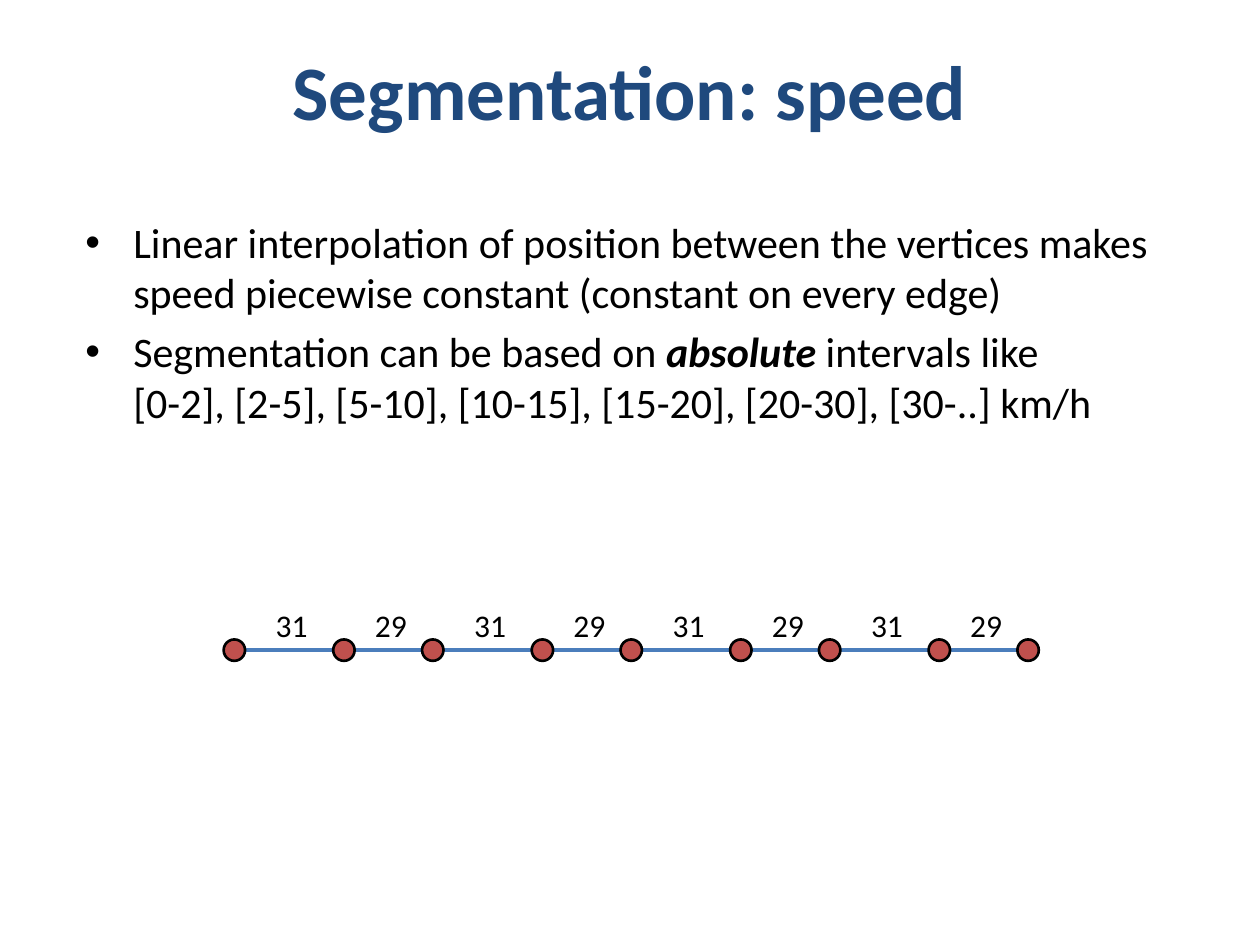
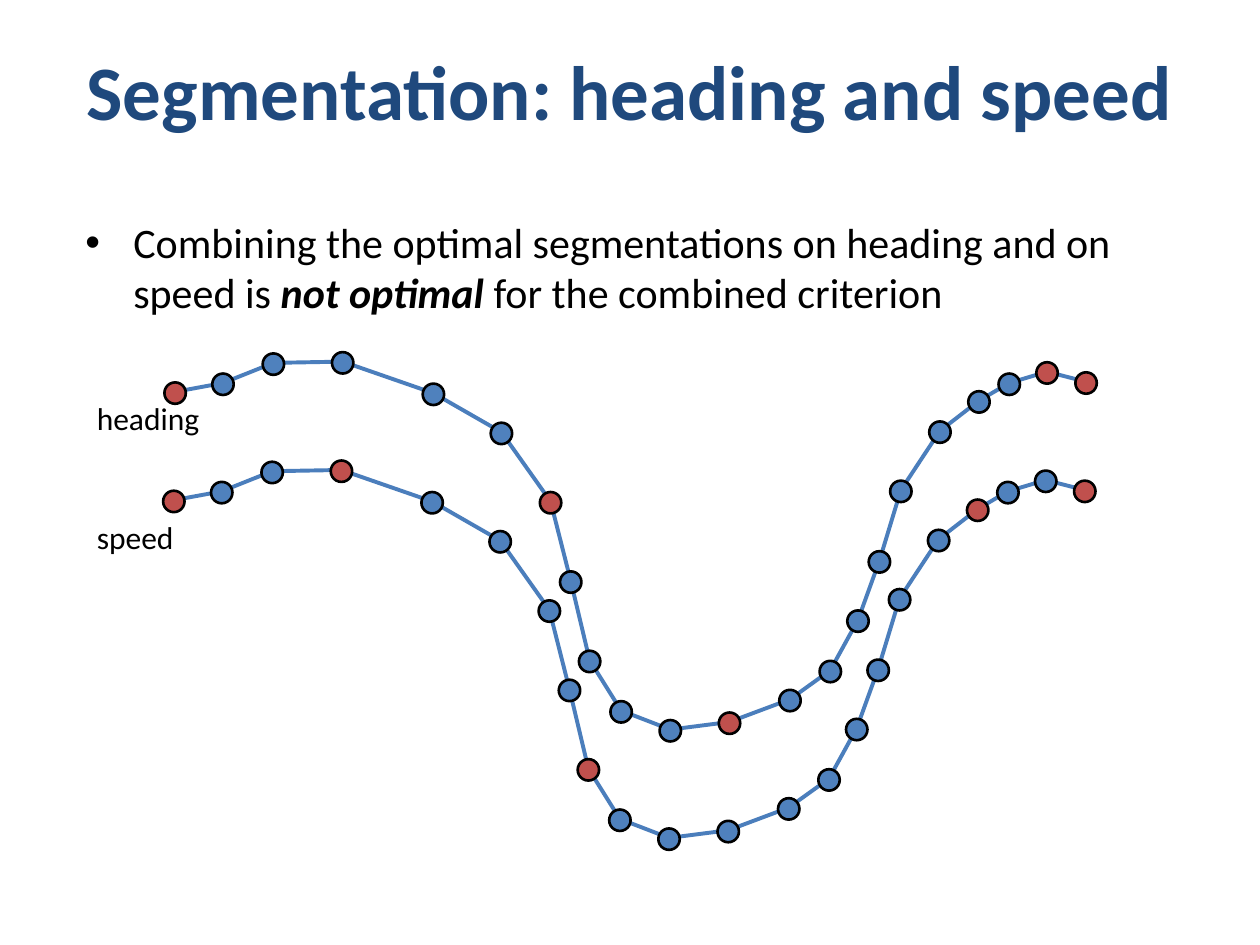
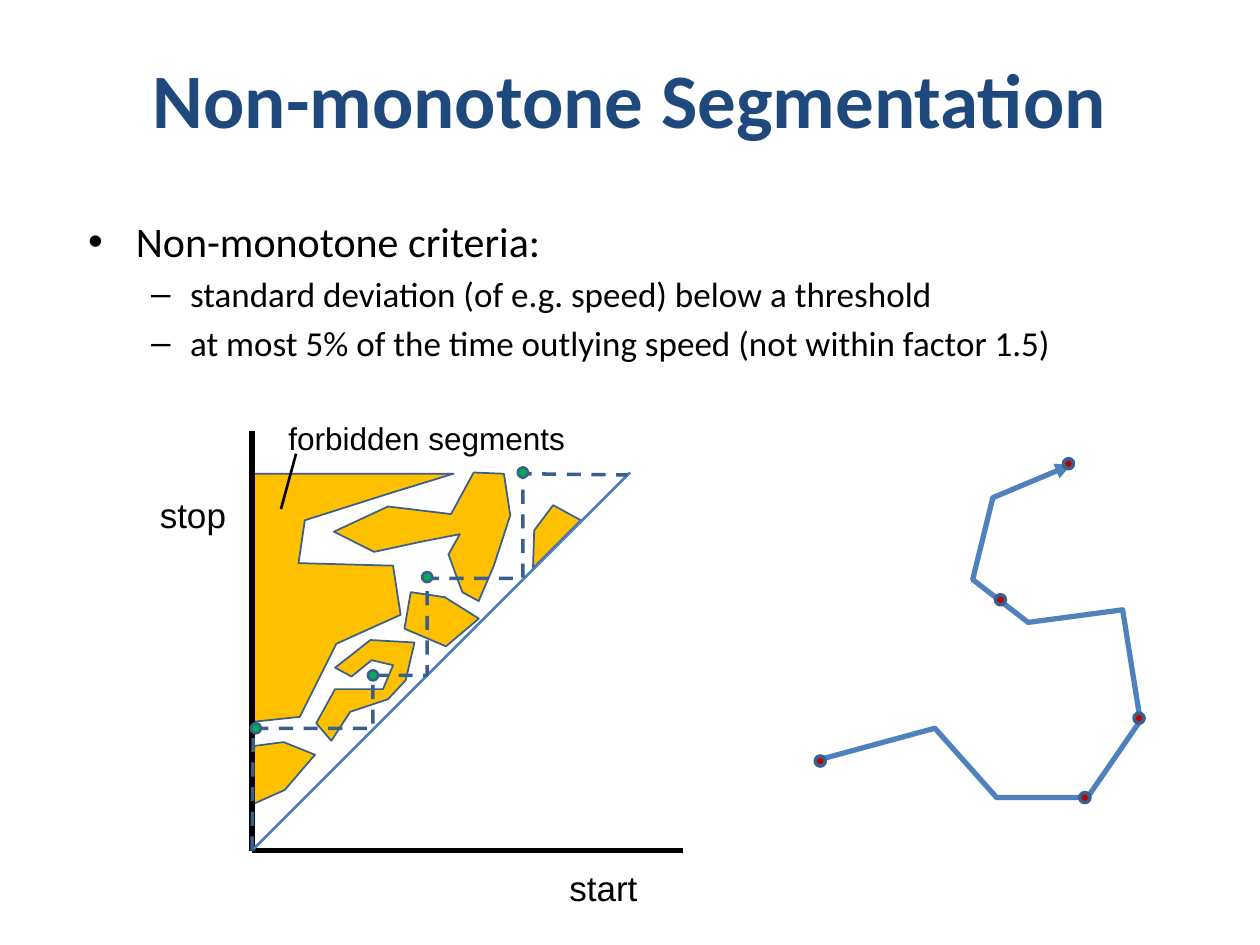
from pptx import Presentation
from pptx.dml.color import RGBColor
from pptx.enum.dml import MSO_LINE
from pptx.enum.shapes import MSO_CONNECTOR, MSO_SHAPE
from pptx.enum.text import MSO_ANCHOR, PP_ALIGN
from pptx.oxml.xmlchemy import OxmlElement
from pptx.util import Cm, Pt

COLORS = {
    "title": "1F497D", "black": "000000", "red": "C0504D", "blue": "4F81BD",
    "curve": "4B7EBC", "outline": "3A5F8C", "forbidden": "FFC000",
    "break": "C00000", "stop": "00B050",
}
BULLETS = [("•", 0.38, 0.38, 24), ("–", 0.81, 0.31, 20)]

SPEED_TEXT = [
    (0, "Linear interpolation of position between the vertices makes speed "
        "piecewise constant (constant on every edge)"),
    (0, "Segmentation can be based on *absolute* intervals like\n"
        "[0-2], [2-5], [5-10], [10-15], [15-20], [20-30], [30-..] km/h"),
]
SPEEDS = ["31", "29"] * 4

COMBINED_TEXT = [
    (0, "Combining the optimal segmentations on heading and on speed is "
        "*not optimal *for the combined criterion"),
]
TRAJECTORY = [
    (1.38, 3.97), (1.76, 3.9), (2.16, 3.74), (2.71, 3.73), (3.43, 3.98), (3.97, 4.29),
    (4.36, 4.84), (4.52, 5.47), (4.67, 6.1), (4.92, 6.5), (5.31, 6.65), (5.78, 6.59),
    (6.26, 6.41), (6.58, 6.18), (6.8, 5.78), (6.97, 5.31), (7.14, 4.75), (7.45, 4.28),
    (7.76, 4.04), (8, 3.9), (8.3, 3.81), (8.61, 3.89),
]
TRAJECTORY_COPIES = [
    ("speed", 0, 0, {0, 3, 8, 18, 21}, (0.67, 4.06, 0.82, 0.4)),
    ("heading", 0.01, -0.86, {0, 6, 11, 20, 21}, (0.67, 3.12, 1.03, 0.4)),
]

CRITERIA_TEXT = [
    (0, "Non-monotone criteria:"),
    (1, "standard deviation (of e.g. speed) below a threshold"),
    (1, "at most 5% of the time outlying speed (not within factor 1.5)"),
]
FORBIDDEN = [
    [(4.23, 4.51), (4.61, 4.13), (4.39, 4.01), (4.24, 4.21)],
    [(3.54, 5.13), (3.8, 4.91), (3.53, 4.74), (3.26, 4.7), (3.21, 4.99)],
    [(2.66, 5.3), (2.94, 5.08), (3.29, 5.1), (3.22, 5.4), (3.08, 5.55), (2.78, 5.65),
     (2.63, 5.88), (2.51, 5.74), (2.66, 5.47), (3.04, 5.47), (3.12, 5.28), (2.95, 5.24),
     (2.79, 5.37)],
    [(1.99, 6.39), (2.26, 6.27), (2.5, 5.99), (2.25, 5.89), (2.02, 5.92)],
    [(2, 5.73), (2.38, 5.69), (2.67, 5.11), (3.18, 4.88), (3.12, 4.49), (2.37, 4.47),
     (2.42, 4.13), (3.08, 3.92), (3.6, 3.76), (2.01, 3.76)],
    [(3.76, 3.75), (4, 3.76), (4.05, 4.09), (3.92, 4.49), (3.8, 4.77), (3.67, 4.7),
     (3.56, 4.4), (3.65, 4.24), (3.34, 4.3), (2.97, 4.38), (2.65, 4.22), (3.08, 4.02),
     (3.58, 4.08)],
]
DIAGRAM_LINES = [
    ((2, 3.42), (2, 6.75), "black", 3),
    ((2, 6.75), (5.42, 6.75), "black", 3),
    ((2, 6.75), (5, 3.75), "curve", 1.5),
    ((2.35, 3.6), (2.23, 4.04), "black", 1.5),
]
DIAGRAM_LABELS = [
    ("start", (4.42, 6.83, 0.75, 0.44), 20),
    ("stop", (1.17, 3.87, 0.73, 0.44), 20),
    ("forbidden segments", (2.19, 3.28, 2.42, 0.4), 18),
]
STAIRCASE = [(2, 6.75), (2.01, 5.78), (2.96, 5.78), (2.96, 5.36), (3.39, 5.36),
             (3.39, 4.59), (4.15, 4.59), (4.15, 3.76), (4.98, 3.77)]
STOPS = [(2.03, 5.78), (2.96, 5.36), (3.39, 4.58), (4.15, 3.75)]
ROUTE = [(6.5, 6.03), (7.42, 5.78), (7.91, 6.33), (8.63, 6.33), (9.05, 5.72),
         (8.91, 4.84), (8.16, 4.94), (7.72, 4.6), (7.88, 3.95), (8.5, 3.69)]
BREAKS = [(6.51, 6.04), (8.61, 6.33), (9.04, 5.7), (7.94, 4.76), (8.48, 3.68)]


def inch(v):
    return Cm(v * 2.54)


def color(name):
    return RGBColor.from_string(COLORS[name])


def child(parent, tag, **attrs):
    e = OxmlElement(tag)
    for k, v in attrs.items():
        e.set(k, v)
    parent.append(e)


def add_bullet(p, level):
    char, left, hang, size = BULLETS[level]
    p.level = level
    pPr = p._p.get_or_add_pPr()
    pPr.set("marL", str(inch(left)))
    pPr.set("indent", str(-inch(hang)))
    child(pPr, "a:buFont", typeface="Arial")
    child(pPr, "a:buChar", char=char)
    return size


def add_text(s, at, paras, size=18, font="Calibri", fill="black", bold=False,
             align=PP_ALIGN.LEFT, anchor=MSO_ANCHOR.TOP, wrap=True):
    tf = s.shapes.add_textbox(*map(inch, at)).text_frame
    tf.word_wrap, tf.vertical_anchor = wrap, anchor
    for i, (level, content) in enumerate(paras):
        p = tf.paragraphs[0] if i == 0 else tf.add_paragraph()
        p.alignment = align
        para_size = size if level is None else add_bullet(p, level)
        if i:
            p.space_before = Pt(para_size * 0.2)
        for j, part in enumerate(content.split("*")):
            for k, line in enumerate(part.split("\n")):
                if k:
                    p.add_line_break()
                r = p.add_run()
                r.text = line
                f = r.font
                f.size, f.name, f.color.rgb = Pt(para_size), font, color(fill)
                f.bold, f.italic = bold or j % 2 == 1, j % 2 == 1


def style_line(sp, name, width):
    sp.line.color.rgb = color(name)
    sp.line.width = Pt(width)


def add_dot(s, center, fill, size=0.17, line="black", width=1.5):
    x, y = (v - size / 2 for v in center)
    sp = s.shapes.add_shape(MSO_SHAPE.OVAL, *map(inch, (x, y, size, size)))
    sp.shadow.inherit = False
    sp.fill.solid()
    sp.fill.fore_color.rgb = color(fill)
    style_line(sp, line, width)


def add_line(s, start, end, name, width):
    sp = s.shapes.add_connector(MSO_CONNECTOR.STRAIGHT, *map(inch, start + end))
    style_line(sp, name, width)
    child(sp._element.spPr, "a:effectLst")


def add_path(s, points, line, width, fill=None, dash=None, arrow=False):
    points = [(inch(x), inch(y)) for x, y in points]
    builder = s.shapes.build_freeform(*points[0])
    builder.add_line_segments(points[1:], close=fill is not None)
    sp = builder.convert_to_shape()
    sp.shadow.inherit = False
    if fill:
        sp.fill.solid()
        sp.fill.fore_color.rgb = color(fill)
    else:
        sp.fill.background()
    style_line(sp, line, width)
    if dash:
        sp.line.dash_style = dash
    if arrow:
        child(sp.line._get_or_add_ln(), "a:tailEnd", type="triangle")


def add_slide(prs, title, body, body_at, title_top=0.3):
    s = prs.slides.add_slide(prs.slide_layouts[6])
    add_text(s, (0.5, title_top, 9, 0.83), [(None, title)], size=44, fill="title",
             bold=True, align=PP_ALIGN.CENTER, anchor=MSO_ANCHOR.MIDDLE)
    add_text(s, body_at, body)
    return s


def speed_slide(prs):
    s = add_slide(prs, "Segmentation: speed", SPEED_TEXT, (0.58, 1.67, 9, 2.37))
    left, y, period, long_edge = 1.86, 5.16, 1.575, 0.87
    add_line(s, (1.94, y), (8.07, y), "curve", 2.25)
    for i in range(len(SPEEDS) + 1):
        add_dot(s, (left + i // 2 * period + i % 2 * long_edge, y), "red")
    for i, speed in enumerate(SPEEDS):
        add_text(s, (2.09 + i * period / 2, 4.76, 0.46, 0.4), [(None, speed)], wrap=False)


def combined_slide(prs):
    s = add_slide(prs, "Segmentation: heading and speed", COMBINED_TEXT,
                  (0.58, 1.67, 9, 1.73))
    for label, dx, dy, cuts, label_at in TRAJECTORY_COPIES:
        points = [(x + dx, y + dy) for x, y in TRAJECTORY]
        add_path(s, points, "curve", 2.25)
        for i, (x, y) in enumerate(points):
            add_dot(s, (x, y + 0.01), "red" if i in cuts else "blue")
        add_text(s, label_at, [(None, label)], wrap=False)


def non_monotone_slide(prs):
    s = add_slide(prs, "Non-monotone Segmentation", CRITERIA_TEXT,
                  (0.6, 1.66, 8.99, 1.59), title_top=0.36)
    for region in FORBIDDEN:
        add_path(s, region, "outline", 1, fill="forbidden")
    for line in DIAGRAM_LINES:
        add_line(s, *line)
    for label, at, size in DIAGRAM_LABELS:
        add_text(s, at, [(None, label)], size=size, font="Arial", wrap=False)
    add_path(s, ROUTE, "blue", 3, arrow=True)
    add_path(s, STAIRCASE, "outline", 2, dash=MSO_LINE.DASH)
    for center in BREAKS:
        add_dot(s, center, "break", size=0.08, line="outline", width=2)
    for center in STOPS:
        add_dot(s, center, "stop", size=0.08, line="outline")


def main():
    prs = Presentation()
    prs.slide_width, prs.slide_height = Cm(25.4), Cm(19.05)
    speed_slide(prs)
    combined_slide(prs)
    non_monotone_slide(prs)
    prs.save("out.pptx")


if __name__ == "__main__":
    main()
